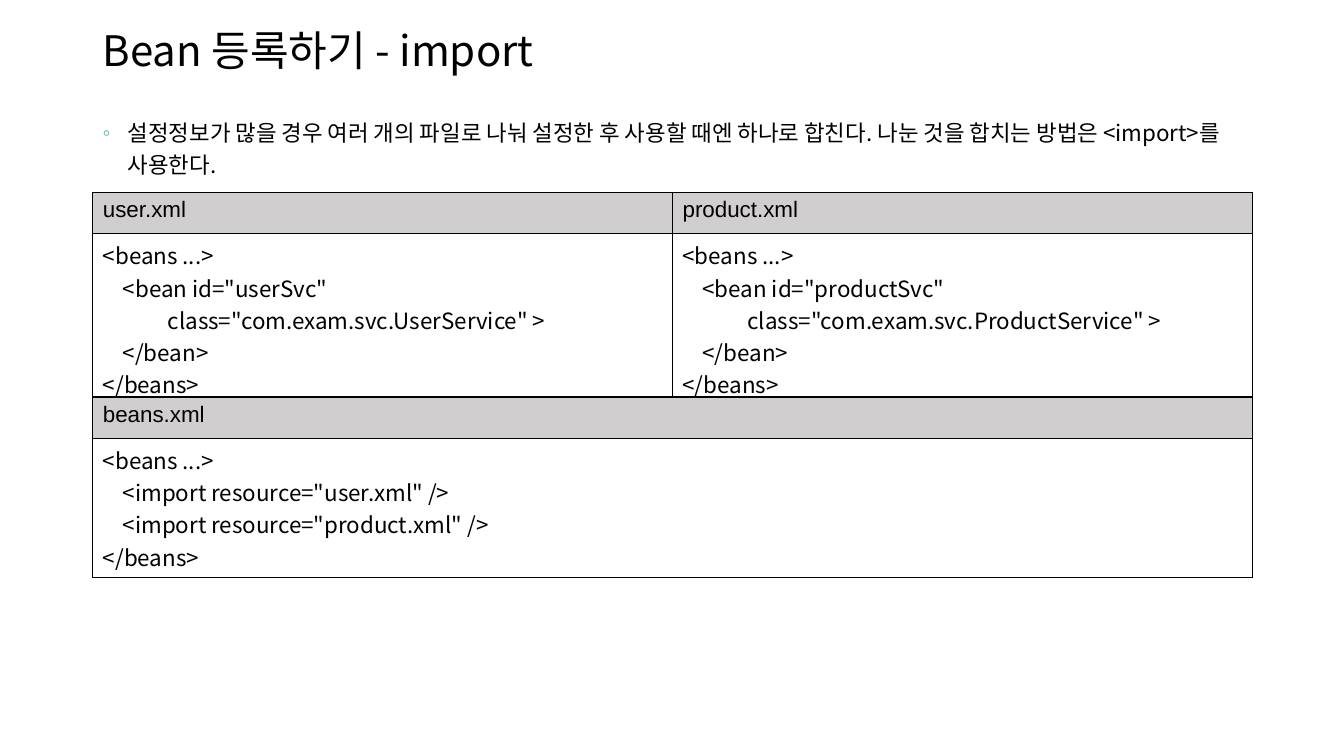
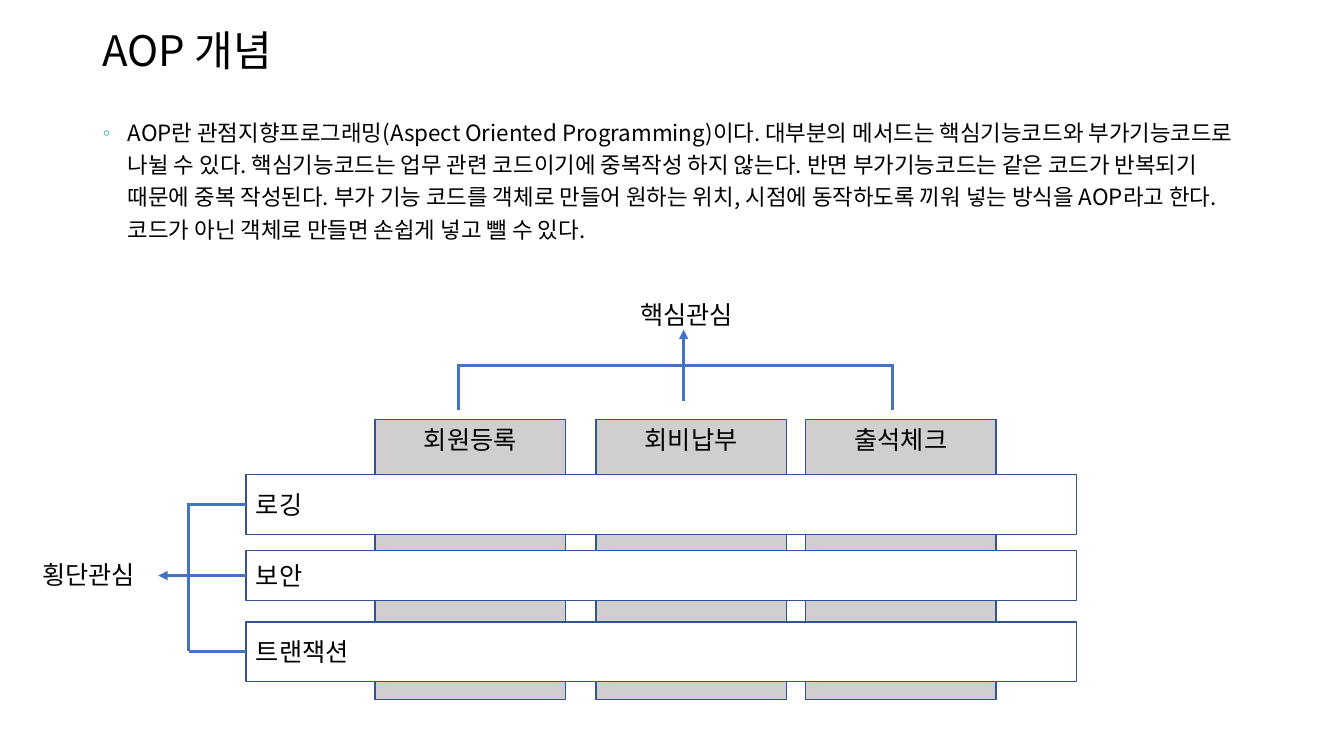
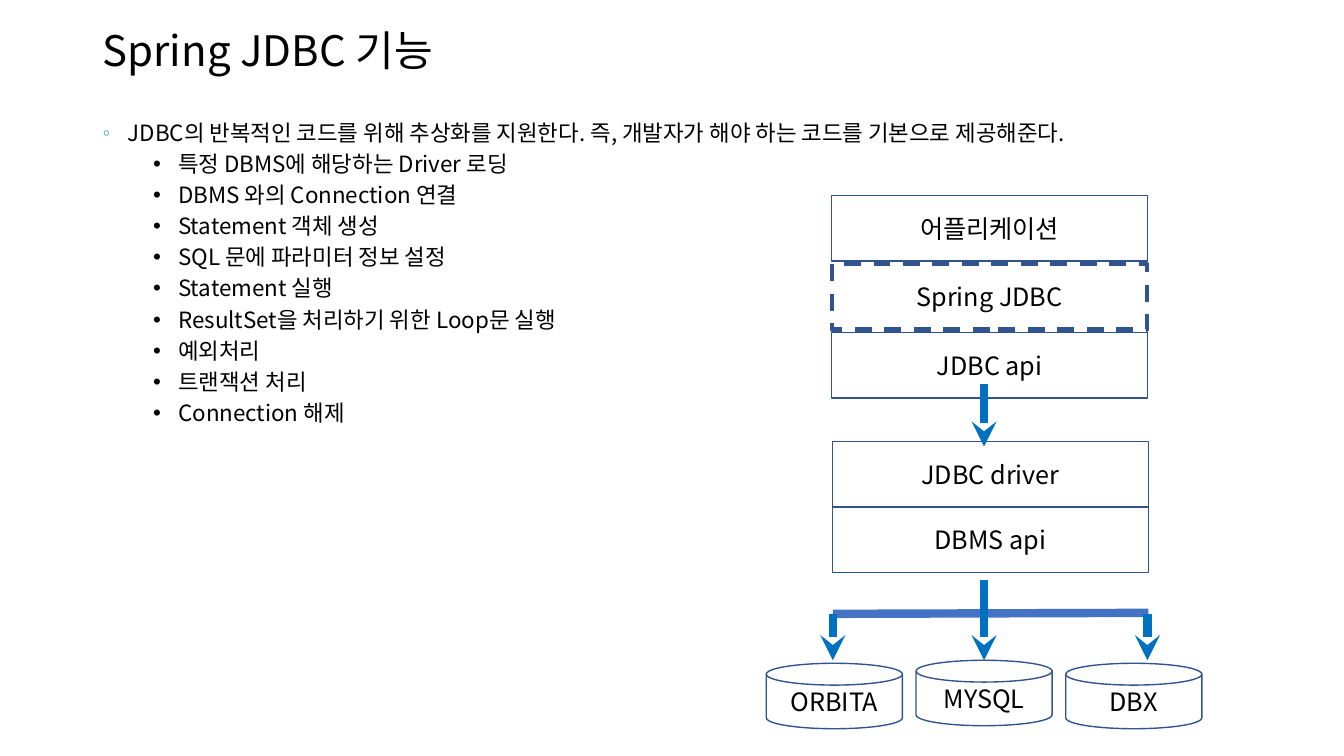
import dataclasses

import pptx
import pptx.dml.color
import pptx.enum.dml
import pptx.enum.shapes
import pptx.enum.text
import pptx.oxml
import pptx.oxml.ns
import pptx.util

# Shared style
SANS, ARIAL = "Noto Sans CJK KR", "Arial"
BLACK, WHITE, GRAY = "000000", "FFFFFF", "D0CECE"
NAVY, BLUE, AZURE, TEAL = "31538F", "4472C4", "0070C0", "4BB0A0"
LEFT, CENTER = pptx.enum.text.PP_ALIGN.LEFT, pptx.enum.text.PP_ALIGN.CENTER
TOP, MIDDLE = pptx.enum.text.MSO_ANCHOR.TOP, pptx.enum.text.MSO_ANCHOR.MIDDLE
RECT = pptx.enum.shapes.MSO_SHAPE.RECTANGLE
DISK = pptx.enum.shapes.MSO_SHAPE.FLOWCHART_MAGNETIC_DISK
DASH = pptx.enum.dml.MSO_LINE.DASH
LEFT_SIDE = 1


@dataclasses.dataclass
class Box:
    """A region in inches, divided into a grid of cols by rows."""
    left: float
    top: float
    width: float
    height: float
    cols: float = 1
    rows: float = 1

    def point(self, col, row):
        return (pptx.util.Inches(self.left + self.width * col / self.cols),
                pptx.util.Inches(self.top + self.height * row / self.rows))

    def area(self, col, row, across, down):
        return (*self.point(col, row),
                pptx.util.Inches(self.width * across / self.cols),
                pptx.util.Inches(self.height * down / self.rows))

    def whole(self):
        return self.area(0, 0, self.cols, self.rows)


TITLE = Box(0.92, 0.15, 11.5, 0.76)
BODY = Box(0.92, 1.08, 11.5, 5.67)


def rgb(color):
    return pptx.dml.color.RGBColor.from_string(color)


def add_xml(parent, tag, **attrs):
    el = parent.makeelement(pptx.oxml.ns.qn(tag), attrs)
    parent.append(el)
    return el


def add_text(p, text, size, font=SANS):
    r = p.add_run()
    r.text = text
    r.font.size = pptx.util.Pt(size)
    r.font.name = font
    r.font.color.rgb = rgb(BLACK)
    add_xml(r.font._element, "a:ea", typeface=font)


def add_lines(tf, lines, size, font=SANS):
    for i, line in enumerate(lines):
        p = tf.add_paragraph() if i else tf.paragraphs[0]
        add_text(p, line, size, font)


def add_label(slide, area, text, size=18, anchor=TOP):
    tf = slide.shapes.add_textbox(*area).text_frame
    tf.word_wrap = True
    tf.vertical_anchor = anchor
    add_lines(tf, [text], size)
    return tf


def add_block(slide, area, text, kind=RECT, fill=WHITE, align=CENTER,
              anchor=MIDDLE, weight=1, dash=None):
    sp = slide.shapes.add_shape(kind, *area)
    sp.shadow.inherit = False
    sp.fill.solid()
    sp.fill.fore_color.rgb = rgb(fill)
    sp.line.color.rgb = rgb(NAVY)
    sp.line.width = pptx.util.Pt(weight)
    if dash:
        sp.line.dash_style = dash
    tf = sp.text_frame
    tf.word_wrap = True
    tf.vertical_anchor = anchor
    add_lines(tf, [text], 18)
    tf.paragraphs[0].alignment = align
    return sp


def add_line(slide, start, end, color=BLUE, weight=2.25, head=None):
    line = slide.shapes.add_connector(
        pptx.enum.shapes.MSO_CONNECTOR.STRAIGHT, *start, *end)
    line.line.color.rgb = rgb(color)
    line.line.width = pptx.util.Pt(weight)
    if head:
        add_xml(line.line._get_or_add_ln(), "a:tailEnd", type=head)
    add_xml(line._element.spPr, "a:effectLst")
    return line


def add_bullet(p, char, color, indent):
    pPr = p._p.get_or_add_pPr()
    pPr.set("marL", str(pptx.util.Inches(indent)))
    pPr.set("indent", str(pptx.util.Inches(-0.25)))
    add_xml(add_xml(pPr, "a:buClr"), "a:srgbClr", val=color)
    add_xml(pPr, "a:buFont", typeface=ARIAL)
    add_xml(pPr, "a:buChar", char=char)


def add_page(prs, title, lead, points=()):
    """Slide with its title, lead paragraph and second-level points."""
    slide = prs.slides.add_slide(prs.slide_layouts[6])
    tf = add_label(slide, TITLE.whole(), title, 30, MIDDLE)
    tf.paragraphs[0].line_spacing = 0.9
    tf = add_label(slide, BODY.whole(), lead, 16)
    p = tf.paragraphs[0]
    p.line_spacing = 1.2
    add_bullet(p, "◦", TEAL, 0.25)
    for point in points:
        p = tf.add_paragraph()
        p.level = 1
        p.line_spacing = 0.9
        p.space_before = pptx.util.Pt(5)
        add_bullet(p, "•", BLACK, 0.75)
        add_text(p, point, 16)
    return slide


def add_border(cell):
    tcPr = cell._tc.get_or_add_tcPr()
    for i, side in enumerate(("a:lnL", "a:lnR", "a:lnT", "a:lnB")):
        ln = tcPr.makeelement(pptx.oxml.ns.qn(side),
                              {"w": str(pptx.util.Pt(1))})
        add_xml(add_xml(ln, "a:solidFill"), "a:srgbClr", val=BLACK)
        tcPr.insert(i, ln)


def add_listings(slide, box, files):
    """Table with one column per file: name above, code below."""
    table = slide.shapes.add_table(2, len(files), *box.whole()).table
    table.first_row = table.horz_banding = False
    header = pptx.util.Inches(0.41)
    table.rows[0].height = header
    table.rows[1].height = pptx.util.Inches(box.height) - header
    for col, (name, code) in enumerate(files):
        for row, (lines, font, fill) in enumerate(
                (([name], ARIAL, GRAY), (code, SANS, WHITE))):
            cell = table.cell(row, col)
            cell.fill.solid()
            cell.fill.fore_color.rgb = rgb(fill)
            add_border(cell)
            add_lines(cell.text_frame, lines, 16, font)


def bean_code(bean, cls):
    return ["<beans ...>",
            f'    <bean id="{bean}"',
            f'             class="com.exam.svc.{cls}" >',
            "    </bean>",
            "</beans>"]


def add_concerns(slide, box):
    """Core concerns as columns, crossed by cross-cutting rows."""
    for col, name in ((34, "회원등록"), (55.9, "회비납부"), (76.7, "출석체크")):
        add_block(slide, box.area(col, 12.4, 18.9, 27.8), name,
                  fill=GRAY, anchor=TOP)
    bars = []
    for row, down, name in ((17.9, 5.9, "로깅"), (25.4, 5, "보안"),
                            (32.5, 5.9, "트랜잭션")):
        sp = add_block(slide, box.area(21.2, row, 82.4, down), name, align=LEFT)
        bars.append((sp, row + down / 2))
    add_label(slide, box.area(59.3, 0, 12.1, 4), "핵심관심")
    add_label(slide, box.area(0, 25.8, 12.1, 4), "횡단관심")

    # Bracket above the columns
    add_line(slide, box.point(42.3, 7.1), box.point(85.3, 7.1))
    for col in (42.3, 85.3):
        add_line(slide, box.point(col, 6.9), box.point(col, 11.5))
    add_line(slide, box.point(64.6, 10.6), box.point(64.6, 3.5),
             head="triangle")

    # Bracket left of the rows; the middle one carries the arrow
    add_line(slide, box.point(15.5, 20.7), box.point(15.5, 35.4))
    for i, (sp, mid) in enumerate(bars):
        middle = i == 1
        line = add_line(slide, box.point(21.2, mid),
                        box.point(12.5 if middle else 15.5, mid),
                        head="triangle" if middle else None)
        line.begin_connect(sp, LEFT_SIDE)


def add_jdbc_stack(slide, box):
    """Layers from the application down to the databases."""
    for col, row, name, style in (
            (6.5, 0, "어플리케이션", {}),
            (6.5, 6.8, "Spring JDBC", {"weight": 3, "dash": DASH}),
            (6.5, 13.6, "JDBC api", {}),
            (6.6, 24.4, "JDBC driver", {}),
            (6.6, 30.9, "DBMS api", {})):
        add_block(slide, box.area(col, row, 31.3, 6.5), name, **style)
    for i, (row, name) in enumerate(((46.4, "ORBITA"), (46.1, "MYSQL"),
                                     (46.4, "DBX"))):
        add_block(slide, box.area(14.85 * i, row, 13.5, 6.5), name, DISK)
    add_line(slide, box.point(6.6, 41.5), box.point(37.9, 41.4), weight=6)
    for col, start, end in ((21.6, 18.7, 24.9), (6.6, 41.5, 46.1),
                            (21.6, 38.1, 46.1), (37.8, 41.5, 46.1)):
        add_line(slide, box.point(col, start), box.point(col, end),
                 AZURE, 6, "stealth")


def main():
    prs = pptx.Presentation()
    prs.slide_width = pptx.util.Inches(13.33)
    prs.slide_height = pptx.util.Inches(7.5)

    # Import
    slide = add_page(
        prs, "Bean 등록하기 - import",
        "설정정보가 많을 경우 여러 개의 파일로 나눠 설정한 후 사용할 때엔 하나로 "
        "합친다. 나눈 것을 합치는 방법은 <import>를 사용한다.")
    add_listings(slide, Box(0.92, 1.91, 11.5, 2.03), [
        ("user.xml", bean_code("userSvc", "UserService")),
        ("product.xml", bean_code("productSvc", "ProductService"))])
    add_listings(slide, Box(0.92, 3.94, 11.5, 1.79), [
        ("beans.xml", ["<beans ...>",
                       '    <import resource="user.xml" />',
                       '    <import resource="product.xml" />',
                       "</beans>"])])

    # AOP
    slide = add_page(
        prs, "AOP 개념",
        "AOP란 관점지향프로그래밍(Aspect Oriented Programming)이다. 대부분의 "
        "메서드는 핵심기능코드와 부가기능코드로 나뉠 수 있다. 핵심기능코드는 업무 "
        "관련 코드이기에 중복작성 하지 않는다. 반면 부가기능코드는 같은 코드가 "
        "반복되기 때문에 중복 작성된다. 부가 기능 코드를 객체로 만들어 원하는 위치, "
        "시점에 동작하도록 끼워 넣는 방식을 AOP라고 한다. 코드가 아닌 객체로 "
        "만들면 손쉽게 넣고 뺄 수 있다.")
    add_concerns(slide, Box(0.32, 2.92, 10.4, 4, 104, 40))

    # JDBC
    slide = add_page(
        prs, "Spring JDBC 기능",
        "JDBC의 반복적인 코드를 위해 추상화를 지원한다. 즉, 개발자가 해야 하는 "
        "코드를 기본으로 제공해준다.",
        ["특정 DBMS에 해당하는 Driver 로딩", "DBMS 와의 Connection 연결",
         "Statement 객체 생성", "SQL 문에 파라미터 정보 설정", "Statement 실행",
         "ResultSet을 처리하기 위한 Loop문 실행", "예외처리", "트랜잭션 처리",
         "Connection 해제"])
    add_jdbc_stack(slide, Box(7.6, 1.94, 4.3, 5.3, 43, 53))

    prs.save("out.pptx")


if __name__ == "__main__":
    main()
